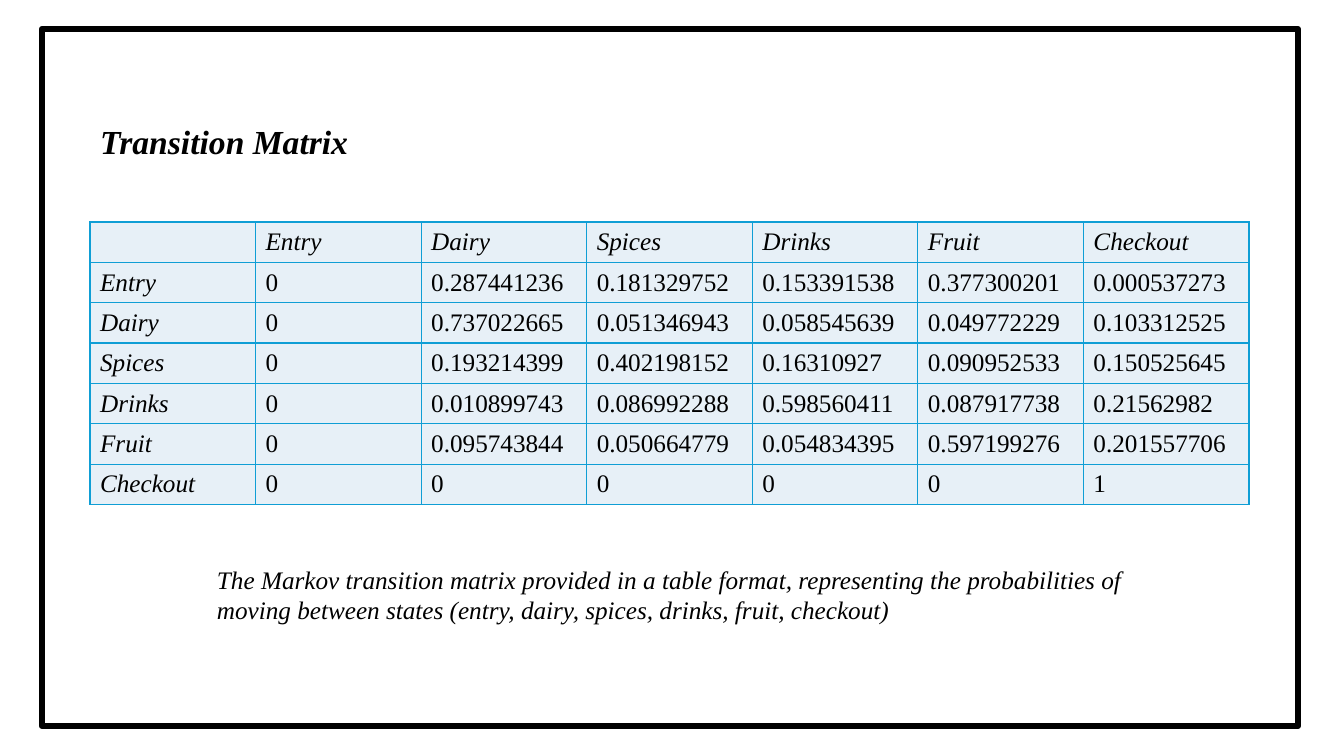
"""Build the transition matrix slide."""
import pptx
import pptx.dml.color
import pptx.enum.shapes
import pptx.enum.text
import pptx.oxml
import pptx.util


def px(*sizes):
    return [round(size * 914400 / 100.8) for size in sizes]


def color(code):
    return pptx.dml.color.RGBColor.from_string(code)


MAIN = "http://schemas.openxmlformats.org/drawingml/2006/main"
anchor = pptx.enum.text.MSO_ANCHOR

deck = pptx.Presentation()
deck.slide_width, deck.slide_height = px(1344, 756)
slide = deck.slides.add_slide(deck.slide_layouts[5])
shapes = slide.shapes

frame = shapes.add_shape(pptx.enum.shapes.MSO_SHAPE.RECTANGLE, *px(42, 29, 1256, 697))
frame.shadow.inherit = False
frame.fill.background()
frame.line.color.rgb = color("000000")
frame.line.width = pptx.util.Pt(4.5)

states = ["Entry", "Dairy", "Spices", "Drinks", "Fruit", "Checkout"]
odds = [
    ["0", "0.287441236", "0.181329752", "0.153391538", "0.377300201", "0.000537273"],
    ["0", "0.737022665", "0.051346943", "0.058545639", "0.049772229", "0.103312525"],
    ["0", "0.193214399", "0.402198152", "0.16310927", "0.090952533", "0.150525645"],
    ["0", "0.010899743", "0.086992288", "0.598560411", "0.087917738", "0.21562982"],
    ["0", "0.095743844", "0.050664779", "0.054834395", "0.597199276", "0.201557706"],
    ["0", "0", "0", "0", "0", "1"],
]
rows = [[""] + states] + [[state] + line for state, line in zip(states, odds)]
count = len(rows)
grid = shapes.add_table(count, count, *px(90, 222, 1159, 282)).table
grid.first_row = grid.horz_banding = False

texts = []
for r, row in enumerate(rows):
    for c, word in enumerate(row):
        cell = grid.cell(r, c)
        cell.vertical_anchor = anchor.MIDDLE
        cell.fill.solid()
        cell.fill.fore_color.rgb = color("E7F0F7")
        for spot, side in enumerate(("lnL", "lnR", "lnT", "lnB")):
            edge = pptx.oxml.parse_xml(
                f'<a:{side} xmlns:a="{MAIN}" w="12700"><a:solidFill>'
                f'<a:srgbClr val="0F9ED5"/></a:solidFill></a:{side}>')
            cell._tc.get_or_add_tcPr().insert(spot, edge)
        if word:
            texts.append((cell.text_frame, word, 18, False, r == 0 or c == 0))

title = shapes.title
title.left, title.top, title.width, title.height = px(90, 116, 925, 50)
note = shapes.add_textbox(*px(207, 559, 925, 72))
caption = ("The Markov transition matrix provided in a table format, representing the "
           "probabilities of moving between states (entry, dairy, spices, drinks, fruit, checkout)")
for box, words, size, bold in ((title, "Transition Matrix", 24, True),
                               (note, caption, 18, False)):
    body = box.text_frame
    body.word_wrap = True
    body.auto_size = pptx.enum.text.MSO_AUTO_SIZE.SHAPE_TO_FIT_TEXT
    body.vertical_anchor = anchor.TOP
    body.paragraphs[0].alignment = pptx.enum.text.PP_ALIGN.JUSTIFY
    texts.append((body, words, size, bold, True))

for body, words, size, bold, slant in texts:
    run = body.paragraphs[0].add_run()
    run.text = words
    look = {"name": "Times New Roman", "size": pptx.util.Pt(size),
            "bold": bold, "italic": slant}
    for key, value in look.items():
        setattr(run.font, key, value)
    run.font.color.rgb = color("000000")

deck.save("out.pptx")
